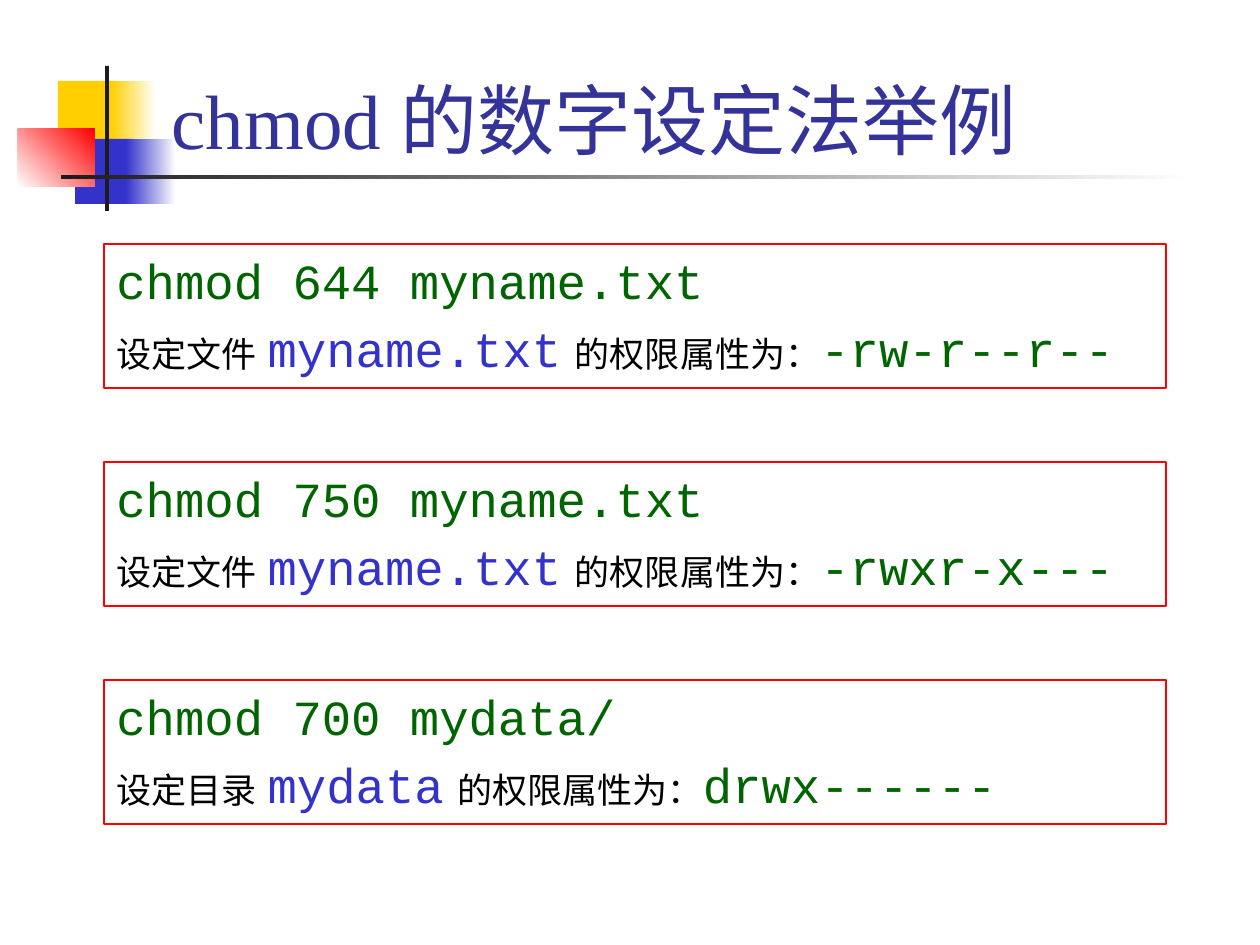
import dataclasses

import pptx
import pptx.dml.color
import pptx.enum.shapes
import pptx.enum.text
import pptx.util

EMU_PER_PX = 914400 / 126


@dataclasses.dataclass(frozen=True)
class Theme:
    yellow: str = "FFCF01"
    blue: str = "3333CC"
    red: str = "FF0000"
    white: str = "FFFFFF"
    black: str = "000000"
    dark: str = "1C1C1C"
    navy: str = "333399"
    green: str = "006400"
    title_font: str = "Times New Roman"
    code_font: str = "Courier New"
    gap_font: str = "Arial"
    title_size: int = 44
    code_size: int = 28
    body_size: int = 20
    paragraph_gap: float = 5.6
    border_width: float = 0.75


def px(length):
    return pptx.util.Emu(round(length * EMU_PER_PX))


def rgb(color):
    return pptx.dml.color.RGBColor.from_string(color)


class SlideBuilder:
    def __init__(self, presentation, theme):
        self.theme = theme
        self.slide = presentation.slides.add_slide(presentation.slide_layouts[5])

    def rectangle(self, left, top, width, height):
        shape = self.slide.shapes.add_shape(
            pptx.enum.shapes.MSO_SHAPE.RECTANGLE,
            px(left), px(top), px(width), px(height))
        shape.shadow.inherit = False
        shape.line.fill.background()
        return shape

    def solid(self, box, color):
        fill = self.rectangle(*box).fill
        fill.solid()
        fill.fore_color.rgb = rgb(color)

    def gradient(self, box, start, end, angle=0):
        """Fade from start to end; the angle runs counter-clockwise."""
        fill = self.rectangle(*box).fill
        fill.gradient()
        fill.gradient_angle = angle
        for stop, color in zip(fill.gradient_stops, (start, end)):
            stop.color.rgb = rgb(color)

    def run(self, paragraph, text, size, font, color):
        run = paragraph.add_run()
        run.text = text
        run.font.size = pptx.util.Pt(size)
        run.font.name = font
        run.font.color.rgb = rgb(color)

    def title(self, box, text):
        theme = self.theme
        title = self.slide.shapes.title
        title.left, title.top, title.width, title.height = map(px, box)
        frame = title.text_frame
        frame.word_wrap = True
        frame.auto_size = pptx.enum.text.MSO_AUTO_SIZE.NONE
        frame.vertical_anchor = pptx.enum.text.MSO_ANCHOR.BOTTOM
        paragraph = frame.paragraphs[0]
        paragraph.alignment = pptx.enum.text.PP_ALIGN.LEFT
        self.run(paragraph, text, theme.title_size, theme.title_font, theme.navy)
        # The title stands in front of the ornament.
        title.element.getparent().append(title.element)

    def example(self, box, mode, target, kind, permissions):
        """Framed command with a line that explains its result."""
        theme = self.theme
        shape = self.rectangle(*box)
        shape.fill.background()
        shape.line.color.rgb = rgb(theme.red)
        shape.line.width = pptx.util.Pt(theme.border_width)
        frame = shape.text_frame
        frame.word_wrap = True
        frame.vertical_anchor = pptx.enum.text.MSO_ANCHOR.TOP
        name = target.rstrip("/")
        # A narrow space keeps the explanation on one line.
        gap = (" ", theme.code_size, theme.gap_font, theme.blue)
        lines = [
            [(f"chmod {mode} {target}", theme.code_size, theme.code_font, theme.green)],
            [(f"设定{kind}", theme.body_size, theme.code_font, theme.black),
             gap,
             (name, theme.code_size, theme.code_font, theme.blue),
             gap,
             ("的权限属性为：", theme.body_size, theme.code_font, theme.black),
             (permissions, theme.code_size, theme.code_font, theme.green)],
        ]
        for index, runs in enumerate(lines):
            paragraph = frame.add_paragraph() if index else frame.paragraphs[0]
            paragraph.alignment = pptx.enum.text.PP_ALIGN.LEFT
            paragraph.space_before = pptx.util.Pt(theme.paragraph_gap)
            for run in runs:
                self.run(paragraph, *run)

    def ornament(self):
        theme = self.theme
        self.solid((58, 81, 60, 66), theme.yellow)
        self.gradient((111, 81, 45, 66), theme.yellow, theme.white)
        self.solid((75, 139, 58, 65), theme.blue)
        self.gradient((126, 139, 50, 65), theme.blue, theme.white)
        self.gradient((18, 129, 77, 58), theme.white, theme.red, 45)
        self.solid((105, 66, 4, 145), theme.dark)
        self.gradient((61, 175, 1134, 4), theme.dark, theme.white)


def main():
    presentation = pptx.Presentation()
    presentation.slide_width, presentation.slide_height = px(1260), px(945)
    builder = SlideBuilder(presentation, Theme())
    builder.ornament()
    builder.title((159, 26, 1074, 145), "chmod 的数字设定法举例")
    examples = [
        (644, "myname.txt", "文件", "-rw-r--r--"),
        (750, "myname.txt", "文件", "-rwxr-x---"),
        (700, "mydata/", "目录", "drwx------"),
    ]
    for row, example in enumerate(examples):
        builder.example((104, 244 + 218 * row, 1062, 144), *example)
    presentation.save("out.pptx")


if __name__ == "__main__":
    main()
